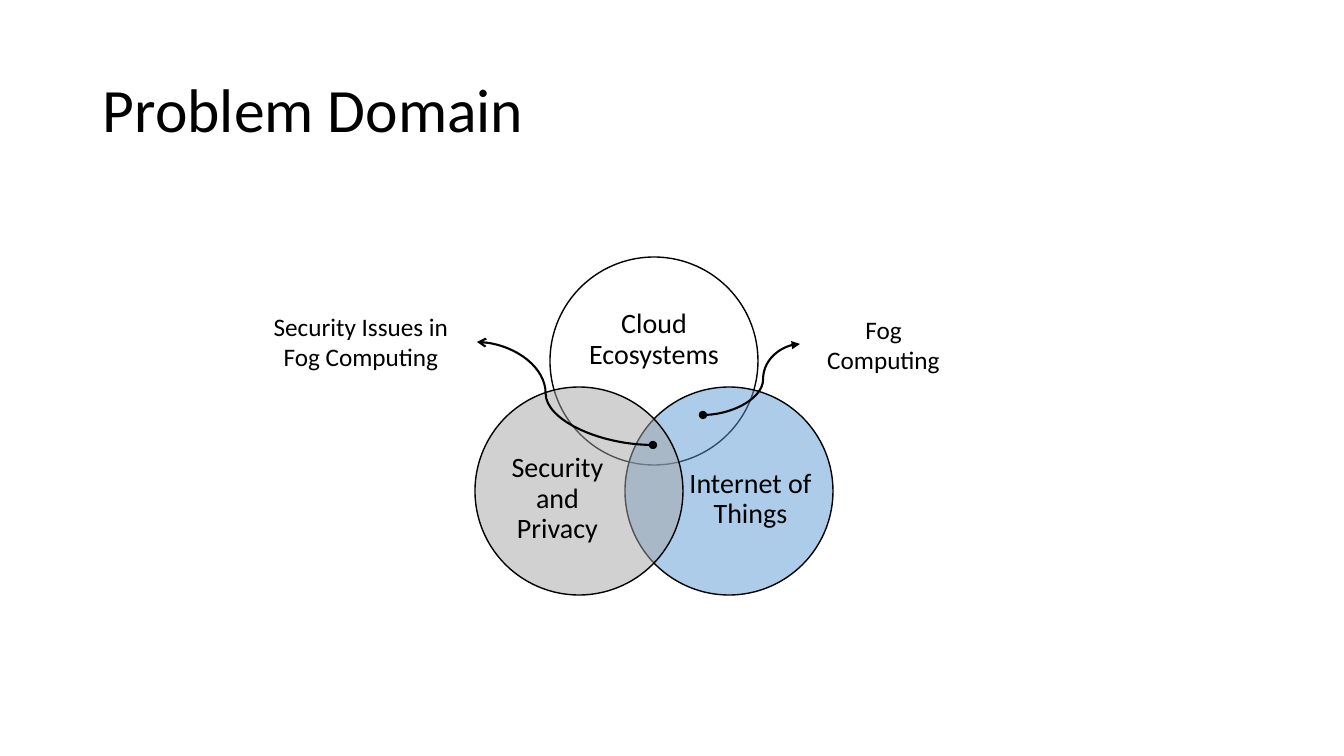
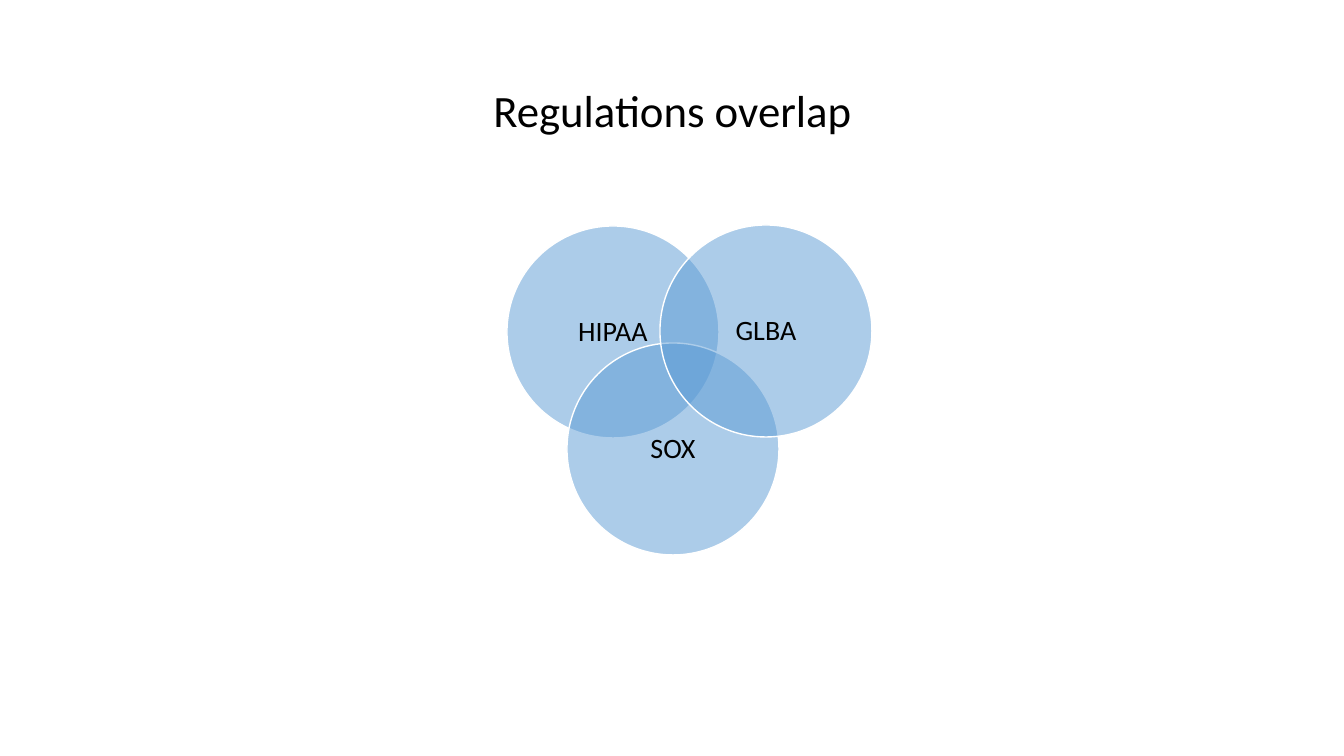
import pptx
import pptx.util
import pptx.dml.color
import pptx.enum.shapes
import pptx.enum.text
import pptx.oxml.ns
import pptx.oxml.xmlchemy

EMU_PER_PX = 914400 / 100.8
FONT = "Calibri"
COLORS = {
    "ink": "000000",
    "white": "FFFFFF",
    "blue": "5B9BD5",
    "gray": "A5A5A5",
}
SHAPES = pptx.enum.shapes.MSO_SHAPE
ALIGN = pptx.enum.text.PP_ALIGN


def px(value):
    return pptx.util.Emu(round(value * EMU_PER_PX))


def rgb(name):
    return pptx.dml.color.RGBColor.from_string(COLORS[name])


def child(parent, tag, **attributes):
    """Append an XML element with the given attributes."""
    element = pptx.oxml.xmlchemy.OxmlElement(tag)
    for key, value in attributes.items():
        element.set(key, value)
    parent.append(element)


def write(shape, text, size, align=ALIGN.CENTER, spacing=1.0):
    """Put one vertically centred paragraph into a shape."""
    frame = shape.text_frame
    frame.word_wrap = True
    frame.vertical_anchor = pptx.enum.text.MSO_ANCHOR.MIDDLE
    frame.text = text
    para = frame.paragraphs[0]
    para.alignment = align
    para.line_spacing = spacing
    font = para.runs[0].font
    font.name = FONT
    font.size = pptx.util.Pt(size)
    font.color.rgb = rgb("ink")


def add_page(deck, title, size, align):
    """Add a slide with the shared title position."""
    page = deck.slides.add_slide(deck.slide_layouts[6])
    box = page.shapes.add_textbox(px(93), px(40), px(1159), px(146))
    write(box, title, size, align, 0.9)
    return page


def add_circle(page, left, top, diameter, fill, outline, text, label):
    """Add a half-transparent circle; label is placed relative to it."""
    circle = page.shapes.add_shape(
        SHAPES.OVAL, px(left), px(top), px(diameter), px(diameter))
    circle.shadow.inherit = False
    circle.fill.solid()
    circle.fill.fore_color.rgb = rgb(fill)
    color = circle._element.spPr.find(
        pptx.oxml.ns.qn("a:solidFill") + "/" + pptx.oxml.ns.qn("a:srgbClr"))
    child(color, "a:alpha", val="50000")
    circle.line.color.rgb = rgb(outline)
    circle.line.width = pptx.util.Pt(1)

    dx, dy, width, height = label
    box = page.shapes.add_textbox(
        px(left + dx), px(top + dy), px(width), px(height))
    frame = box.text_frame
    frame.margin_left = frame.margin_right = 0
    frame.margin_top = frame.margin_bottom = 0
    write(box, text, 20, spacing=0.9)


def add_callout(page, left, top, width, height, text):
    box = page.shapes.add_shape(
        SHAPES.ROUNDED_RECTANGLE, px(left), px(top), px(width), px(height))
    box.shadow.inherit = False
    box.fill.background()
    box.line.fill.background()
    write(box, text, 18)


def add_curve(page, start, end, bend, tail):
    """Add a curved arrow that starts with a dot and bends at a fraction."""
    curve = page.shapes.add_connector(
        pptx.enum.shapes.MSO_CONNECTOR.CURVE, *map(px, start + end))
    curve.line.color.rgb = rgb("ink")
    curve.line.width = pptx.util.Pt(1.5)
    properties = curve._element.spPr
    line = properties.find(pptx.oxml.ns.qn("a:ln"))
    child(line, "a:headEnd", type="oval")
    child(line, "a:tailEnd", type=tail)
    child(properties, "a:effectLst")
    geometry = properties.find(pptx.oxml.ns.qn("a:prstGeom"))
    guides = geometry.find(pptx.oxml.ns.qn("a:avLst"))
    if guides is None:
        child(geometry, "a:avLst")
        guides = geometry[-1]
    child(guides, "a:gd", name="adj1", fmla=f"val {round(bend * 100000)}")


def build_problem_domain(deck):
    page = add_page(deck, "Problem Domain", 44, ALIGN.LEFT)
    # Venn diagram
    for left, top, fill, text, label in (
        (550, 257, "white", "Cloud Ecosystems", (28, 36, 152, 94)),
        (625, 387, "blue", "Internet of Things", (63, 55, 125, 114)),
        (475, 387, "gray", "Security and Privacy", (20, 55, 125, 114)),
    ):
        add_circle(page, left, top, 208, fill, "ink", text, label)
    # Callouts for the overlaps
    add_callout(page, 244, 297, 234, 89, "Security Issues in Fog Computing")
    add_curve(page, (653, 445), (477, 342), 0.61, "arrow")
    add_callout(page, 800, 312, 167, 65, "Fog Computing")
    add_curve(page, (703, 415), (800, 344), 0.62, "triangle")


def build_regulations(deck):
    page = add_page(deck, "Regulations overlap", 32, ALIGN.CENTER)
    diameter, inset = 212, 31
    side = diameter - 2 * inset
    for left, top, text in (
        (507, 226, "HIPAA"),
        (567, 343, "SOX"),
        (660, 225, "GLBA"),
    ):
        add_circle(page, left, top, diameter, "blue", "white", text,
                   (inset, inset, side, side))


def main():
    deck = pptx.Presentation()
    deck.slide_width = px(1344)
    deck.slide_height = px(756)
    build_problem_domain(deck)
    build_regulations(deck)
    deck.save("out.pptx")


if __name__ == "__main__":
    main()
